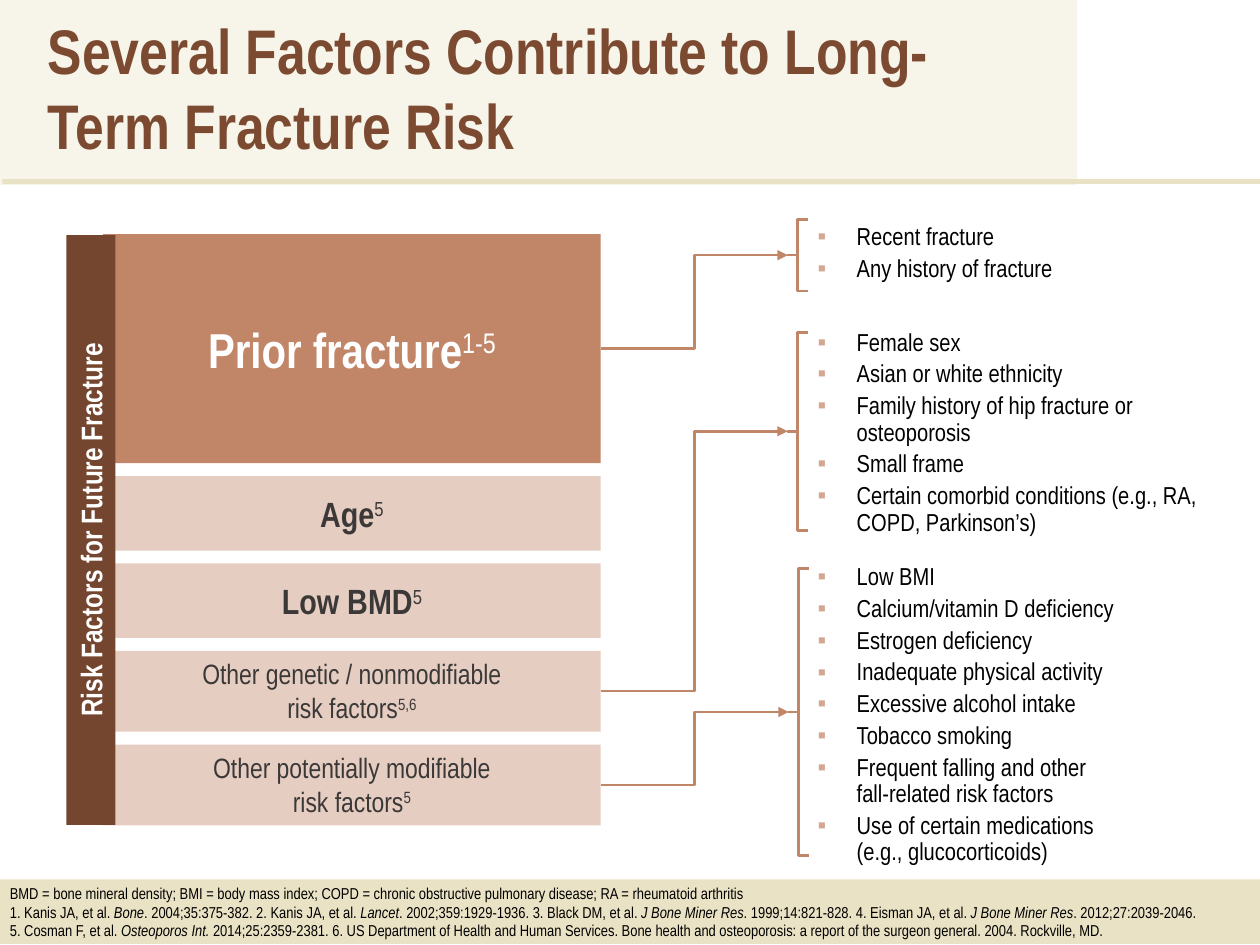
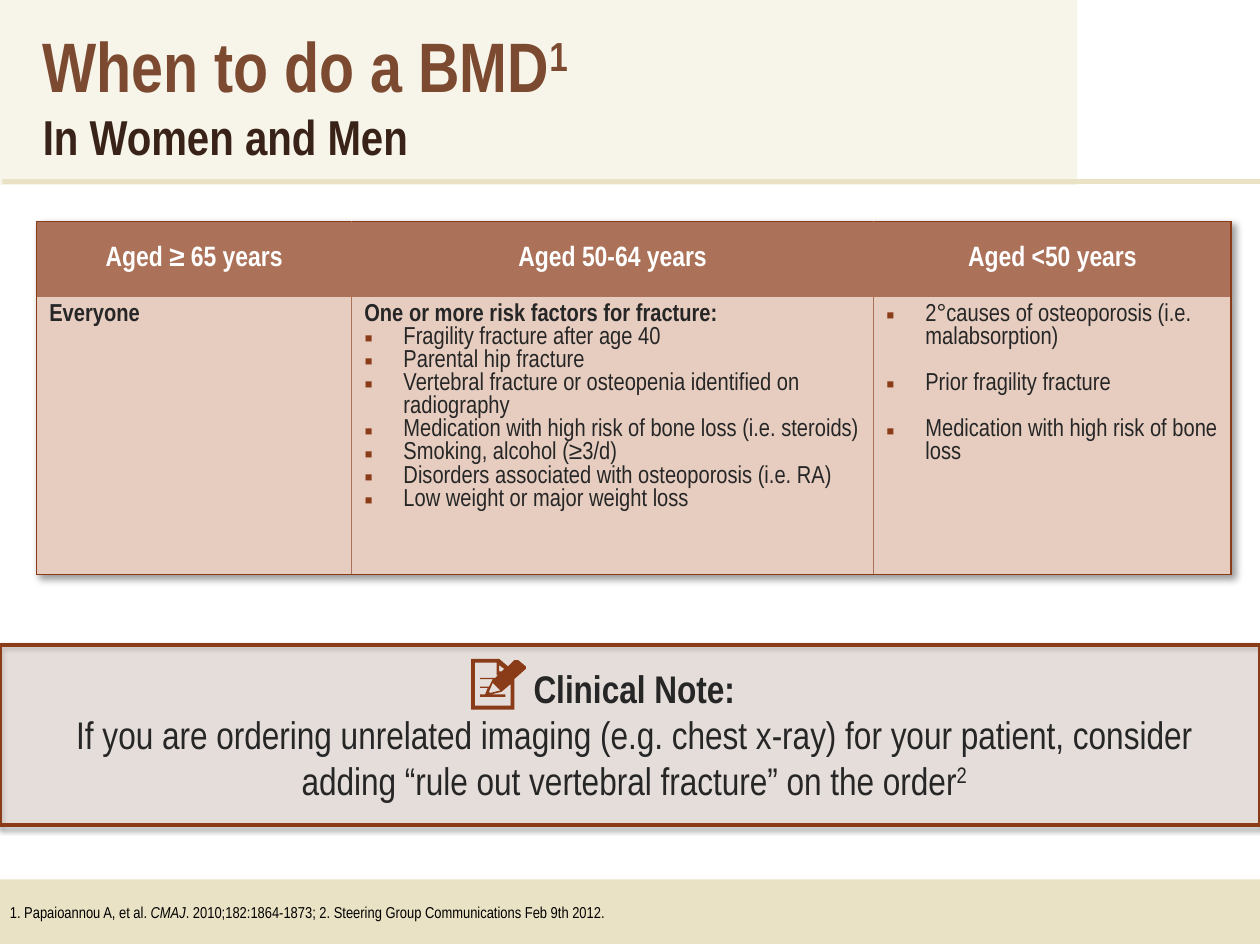
from dataclasses import dataclass

from lxml import etree
from pptx import Presentation
from pptx import util as u
from pptx.dml.color import RGBColor
from pptx.enum import shapes, text
from pptx.oxml.ns import qn

FONT = "Arial Narrow"
BAND, SAND, TITLE, SUBTITLE = "F7F4E9", "EAE2C4", "7B4A31", "392217"
CLAY, PINK, BROWN, BULLET = "C18567", "E5CDC1", "75462F", "D3A791"
HEADER, RUST, CELL = "AB7259", "8A3B18", "E6CDC0"
GREY, INK, BLACK, WHITE = "3B3838", "262626", "000000", "FFFFFF"
NO_GRID = "{2D5ABB26-0587-4C30-8999-92F81FD0307C}"
LINE_PITCH = u.Pt(13.2)


@dataclass
class Box:
    """Place and size in centimetres."""
    left: float
    top: float
    width: float
    height: float

    def emu(self) -> list:
        """Return the four lengths for python-pptx."""
        return [u.Cm(v) for v in (self.left, self.top, self.width, self.height)]


@dataclass
class Factor:
    """One bar in the stack of risk factors."""
    label: str
    height: float
    size: int = 20
    bold: bool = True
    fill: str = PINK
    colour: str = GREY
    anchor: text.MSO_ANCHOR = text.MSO_ANCHOR.MIDDLE


@dataclass
class Detail:
    """A bracketed list that explains the factor at the given index."""
    factor: int
    brace: Box
    area: Box
    items: list


FACTORS = [
    Factor("Prior fracture^1-5", 4.62, 28, fill=CLAY, colour=WHITE),
    Factor("Age^5", 1.5),
    Factor("Low BMD^5", 1.5),
    Factor("Other genetic / nonmodifiable\vrisk factors^5,6", 1.63, 16, False,
           anchor=text.MSO_ANCHOR.TOP),
    Factor("Other potentially modifiable\vrisk factors^5", 1.63, 16, False,
           anchor=text.MSO_ANCHOR.TOP),
]
DETAILS = [
    Detail(0, Box(15.88, 4.42, 0.4, 1.45), Box(16.48, 4.52, 8.13, 1.2),
           ["Recent fracture", "Any history of fracture"]),
    Detail(3, Box(15.88, 6.7, 0.4, 3.99), Box(16.48, 6.65, 8.13, 4.2),
           ["Female sex", "Asian or white ethnicity",
            "Family history of hip fracture or osteoporosis", "Small frame",
            "Certain comorbid conditions (e.g., RA, COPD, Parkinson’s)"]),
    Detail(4, Box(15.9, 11.46, 0.4, 5.79), Box(16.48, 11.38, 8.13, 6.15),
           ["Low BMI", "Calcium/vitamin D deficiency", "Estrogen deficiency",
            "Inadequate physical activity", "Excessive alcohol intake",
            "Tobacco smoking",
            "Frequent falling and other\vfall-related risk factors",
            "Use of certain medications\v(e.g., glucocorticoids)"]),
]
FACTOR_REFERENCES = [
    "BMD = bone mineral density; BMI = body mass index; COPD = chronic obstructive "
    "pulmonary disease; RA = rheumatoid arthritis",
    "1. Kanis JA, et al. *Bone*. 2004;35:375-382. 2. Kanis JA, et al. *Lancet*. "
    "2002;359:1929-1936. 3. Black DM, et al. *J Bone Miner Res*. 1999;14:821-828. "
    "4. Eisman JA, et al. *J Bone Miner Res*. 2012;27:2039-2046.",
    "5. Cosman F, et al. *Osteoporos Int. *2014;25:2359-2381. 6. US Department of "
    "Health and Human Services. Bone health and osteoporosis: a report of the surgeon "
    "general. 2004. Rockville, MD.",
]
BMD_REFERENCES = ["1. Papaioannou A, et al. *CMAJ*. 2010;182:1864-1873; "
                  "2. Steering Group Communications Feb 9th 2012."]
AGE_HEADS = ["Aged ≥ 65 years", "Aged 50-64 years", "Aged <50 years"]
AGE_LEADS = ["Everyone", "One or more risk factors for fracture:", ""]
AGE_ITEMS = [
    [],
    ["Fragility fracture after age 40", "Parental hip fracture",
     "Vertebral fracture or osteopenia identified on radiography",
     "Medication with high risk of bone loss (i.e. steroids)",
     "Smoking, alcohol (≥3/d)", "Disorders associated with osteoporosis (i.e. RA)",
     "Low weight or major weight loss"],
    ["2°causes of osteoporosis (i.e. malabsorption)", "Prior fragility fracture",
     "Medication with high risk of bone loss"],
]
NOTE_ICON = [
    [(0, 0), (22, 0), (29, 6), (34, 1), (37, 1), (43, 6), (43, 8), (34, 16), (34, 40),
     (0, 40)],
    [(3, 3), (3, 37), (31, 37), (31, 20), (24, 26), (16, 28), (27, 28), (27, 30),
     (7, 30), (7, 28), (11, 28), (13, 23), (7, 23), (7, 22), (14, 22), (16, 18),
     (17, 16), (7, 16), (7, 15), (19, 15), (21, 13), (20, 13), (20, 3)],
    [(22, 5), (22, 10), (24, 10), (26, 8)],
    [(17, 19), (14, 26), (15, 27), (23, 25)],
]


def rgb(value: str) -> RGBColor:
    """Turn a hex string into a colour."""
    return RGBColor.from_string(value)


def child(parent, tag: str, **attrs):
    """Append a DrawingML element."""
    return etree.SubElement(parent, qn(f"a:{tag}"), {k: str(v) for k, v in attrs.items()})


def paint(fill, colour: str, alpha: int = 100) -> None:
    """Set a solid fill, with opacity in percent."""
    fill.solid()
    fill.fore_color.rgb = rgb(colour)
    if alpha < 100:
        child(fill._xPr.find(f".//{qn('a:srgbClr')}"), "alpha", val=alpha * 1000)


def add_shadow(effects, alpha: int, blur: float, dist: float, angle: int) -> None:
    """Fill an effect list with a black outer shadow."""
    shadow = child(effects, "outerShdw", blurRad=u.Pt(blur), dist=u.Pt(dist),
                   dir=angle * 60000, rotWithShape=0)
    child(child(shadow, "srgbClr", val=BLACK), "alpha", val=alpha * 1000)


def write(p, words: str, size: float, colour: str, bold: bool = False,
          align: text.PP_ALIGN = text.PP_ALIGN.LEFT) -> None:
    """Write a paragraph where ^ starts a superscript and *...* is italic."""
    italic = "*" in words
    p.text, *rest = words.split("*" if italic else "^")
    p.alignment = align
    for i, part in enumerate(rest):
        r = p.add_run()
        r.text = part
        if italic:
            r.font.italic = i % 2 == 0
        else:
            r._r.get_or_add_rPr().set("baseline", "30000")
    for r in p.runs:
        raised = r._r.get_or_add_rPr().get("baseline") is not None
        r.font.name, r.font.size = FONT, u.Pt(size)
        r.font.bold = bold and not raised
        r.font.color.rgb = rgb(colour)


def next_paragraph(tf, index: int):
    """Return the first paragraph for index 0, else a new one."""
    return tf.add_paragraph() if index else tf.paragraphs[0]


def add_bullet(p, colour: str) -> None:
    """Give a paragraph a hanging square bullet."""
    pPr = p._p.get_or_add_pPr()
    pPr.set("marL", str(u.Cm(0.79)))
    pPr.set("indent", str(-u.Cm(0.79)))
    child(child(pPr, "buClr"), "srgbClr", val=colour)
    child(pPr, "buFont", typeface="Arial")
    child(pPr, "buChar", char="▪")


def add_block(s, box: Box, colour: str, alpha: int = 100,
              kind: shapes.MSO_SHAPE = shapes.MSO_SHAPE.RECTANGLE):
    """Draw a filled shape without outline or shadow."""
    sp = s.shapes.add_shape(kind, *box.emu())
    sp.shadow.inherit = False
    sp.line.fill.background()
    paint(sp.fill, colour, alpha)
    return sp


def add_frame(s, box: Box, title: str, size: int, references: list):
    """Draw the shared band, title, footer and rule; return the title paragraph."""
    head = s.shapes.title
    band = add_block(s, Box(0, 0, 21.72, 3.73), BAND)
    head._element.addprevious(band._element)
    head.left, head.top, head.width, head.height = box.emu()
    tf = head.text_frame
    tf.auto_size, tf.vertical_anchor = text.MSO_AUTO_SIZE.NONE, text.MSO_ANCHOR.TOP
    write(tf.paragraphs[0], title, size, TITLE)
    for r in tf.paragraphs[0].runs:
        r.font.bold = True
    footer = add_block(s, Box(-0.05, 17.73, 25.45, 1.3), SAND).text_frame
    footer.vertical_anchor = text.MSO_ANCHOR.MIDDLE
    for i, line in enumerate(references):
        write(next_paragraph(footer, i), line, 9, BLACK)
    add_block(s, Box(0.05, 3.61, 25.35, 0.1), SAND)
    return tf.paragraphs[0]


def add_factor(s, factor: Factor, top: float):
    """Draw one bar of the risk factor stack."""
    sp = add_block(s, Box(2.08, top, 10.03, factor.height), factor.fill)
    sp.text_frame.vertical_anchor = factor.anchor
    write(sp.text_frame.paragraphs[0], factor.label, factor.size, factor.colour,
          factor.bold, text.PP_ALIGN.CENTER)
    return sp


def add_detail(s, detail: Detail, ph, bar) -> None:
    """Fill a placeholder list, bracket it and join it to its bar."""
    ph.left, ph.top, ph.width, ph.height = detail.area.emu()
    tf = ph.text_frame
    tf.auto_size, tf.vertical_anchor = text.MSO_AUTO_SIZE.NONE, text.MSO_ANCHOR.TOP
    tf.margin_left = tf.margin_right = tf.margin_top = tf.margin_bottom = 0
    for i, item in enumerate(detail.items):
        p = next_paragraph(tf, i)
        add_bullet(p, BULLET)
        write(p, item, 14, BLACK)
        p.line_spacing, p.space_before = 0.9, u.Pt(3 if i else 0)
    brace = s.shapes.add_shape(shapes.MSO_SHAPE.LEFT_BRACE, *detail.brace.emu())
    brace.shadow.inherit = False
    brace.fill.background()
    brace.adjustments[0], brace.adjustments[1] = 0, 0.5
    arrow = s.shapes.add_connector(shapes.MSO_CONNECTOR.ELBOW, 0, 0, 0, 0)
    arrow.begin_connect(bar, 3)
    arrow.end_connect(brace, 1)
    for sp in (brace, arrow):
        sp.line.color.rgb, sp.line.width = rgb(CLAY), u.Pt(1.5)
    child(arrow.line._get_or_add_ln(), "tailEnd", type="triangle")
    child(arrow._element.spPr, "effectLst")


def add_border(cell, side: str, colour: str) -> None:
    """Add a one-point border to one side of a cell."""
    ln = child(cell._tc.get_or_add_tcPr(), f"ln{side}", w=u.Pt(1))
    child(child(ln, "solidFill"), "srgbClr", val=colour)


def add_age_table(s) -> None:
    """Draw the table of indications by age."""
    table = s.shapes.add_table(2, 3, *Box(0.74, 4.47, 24.08, 7.11).emu()).table
    table.first_row = table.horz_banding = False
    tblPr = table._tbl.tblPr
    tblPr.find(qn("a:tableStyleId")).text = NO_GRID
    effects = child(tblPr, "effectLst")
    tblPr.insert(0, effects)
    add_shadow(effects, 40, 4, 3, 45)
    for row, height in zip(table.rows, (1.52, 5.59)):
        row.height = u.Cm(height)
    for c, width in enumerate((6.35, 10.52, 7.21)):
        table.columns[c].width = u.Cm(width)
        head, body = table.cell(0, c), table.cell(1, c)
        for cell, edge in ((head, "T"), (body, "B")):
            add_border(cell, "L", HEADER if c else RUST)
            add_border(cell, "R", HEADER if c < 2 else RUST)
            add_border(cell, edge, RUST)
        paint(head.fill, HEADER)
        paint(body.fill, CELL, 60)
        head.vertical_anchor = text.MSO_ANCHOR.MIDDLE
        write(head.text_frame.paragraphs[0], AGE_HEADS[c], 16, WHITE, True,
              text.PP_ALIGN.CENTER)
        lead = [AGE_LEADS[c]] if AGE_LEADS[c] else []
        for i, item in enumerate(lead + AGE_ITEMS[c]):
            p = next_paragraph(body.text_frame, i)
            is_lead = item in lead
            if not is_lead:
                add_bullet(p, RUST)
            write(p, item, 14, INK, is_lead)
            p.line_spacing = LINE_PITCH
            p.space_before = LINE_PITCH if i and not lead else 0


def add_clinical_note(s) -> None:
    """Draw the framed clinical note with its icon."""
    panel = add_block(s, Box(0, 13, 25.4, 3.63), CELL, 30)
    panel.line.color.rgb, panel.line.width = rgb(RUST), u.Pt(2.25)
    add_shadow(panel._element.spPr.find(qn("a:effectLst")), 35, 3.1, 1.8, 90)
    tf = s.shapes.add_textbox(*Box(0.53, 13.26, 24.51, 3.07).emu()).text_frame
    tf.word_wrap, tf.vertical_anchor = True, text.MSO_ANCHOR.MIDDLE
    write(tf.paragraphs[0], "Clinical Note:", 22, INK, True, text.PP_ALIGN.CENTER)
    write(tf.add_paragraph(), "If you are ordering unrelated imaging (e.g. chest x-ray) for "
          "your patient, consider adding “rule out vertebral fracture” on the order^2",
          22, INK, align=text.PP_ALIGN.CENTER)
    outline = s.shapes.build_freeform(*NOTE_ICON[0][0], scale=u.Cm(1.1) / 43)
    for i, contour in enumerate(NOTE_ICON):
        if i:
            outline.move_to(*contour[0])
        outline.add_line_segments(contour[1:], close=True)
    icon = outline.convert_to_shape(u.Cm(9.5), u.Cm(13.28))
    icon.shadow.inherit = False
    icon.line.fill.background()
    paint(icon.fill, RUST)


def build_factor_slide(prs) -> None:
    """Build the slide on long-term fracture risk."""
    s = prs.slides.add_slide(prs.slide_layouts[4])
    _, *bodies, spare = s.placeholders
    spare._element.getparent().remove(spare._element)
    add_frame(s, Box(0.71, 0.1, 20.52, 3.33),
              "Several Factors Contribute to Long-Term Fracture Risk", 36, FACTOR_REFERENCES)
    bars, top = [], 4.72
    for factor in FACTORS:
        bars.append(add_factor(s, factor, top))
        top += factor.height + 0.26
    label = add_block(s, Box(-4.11, 10.19, 11.89, 0.99), BROWN)
    label.rotation = 270
    label.text_frame.vertical_anchor = text.MSO_ANCHOR.TOP
    write(label.text_frame.paragraphs[0], "Risk Factors for Future Fracture", 17, WHITE, True,
          text.PP_ALIGN.CENTER)
    for detail, ph in zip(DETAILS, bodies):
        add_detail(s, detail, ph, bars[detail.factor])


def build_bmd_slide(prs) -> None:
    """Build the slide on when to do a BMD."""
    s = prs.slides.add_slide(prs.slide_layouts[5])
    p = add_frame(s, Box(0.61, 0.33, 20.52, 3.18), "When to do a BMD^1", 40, BMD_REFERENCES)
    p.add_line_break()
    r = p.add_run()
    r.text = "In Women and Men"
    r.font.name, r.font.size, r.font.bold = FONT, u.Pt(28), True
    r.font.color.rgb = rgb(SUBTITLE)
    add_age_table(s)
    add_clinical_note(s)


def main() -> None:
    """Build and save the presentation."""
    prs = Presentation()
    prs.slide_width, prs.slide_height = u.Cm(25.4), u.Cm(19.05)
    build_factor_slide(prs)
    build_bmd_slide(prs)
    prs.save("out.pptx")


if __name__ == "__main__":
    main()
